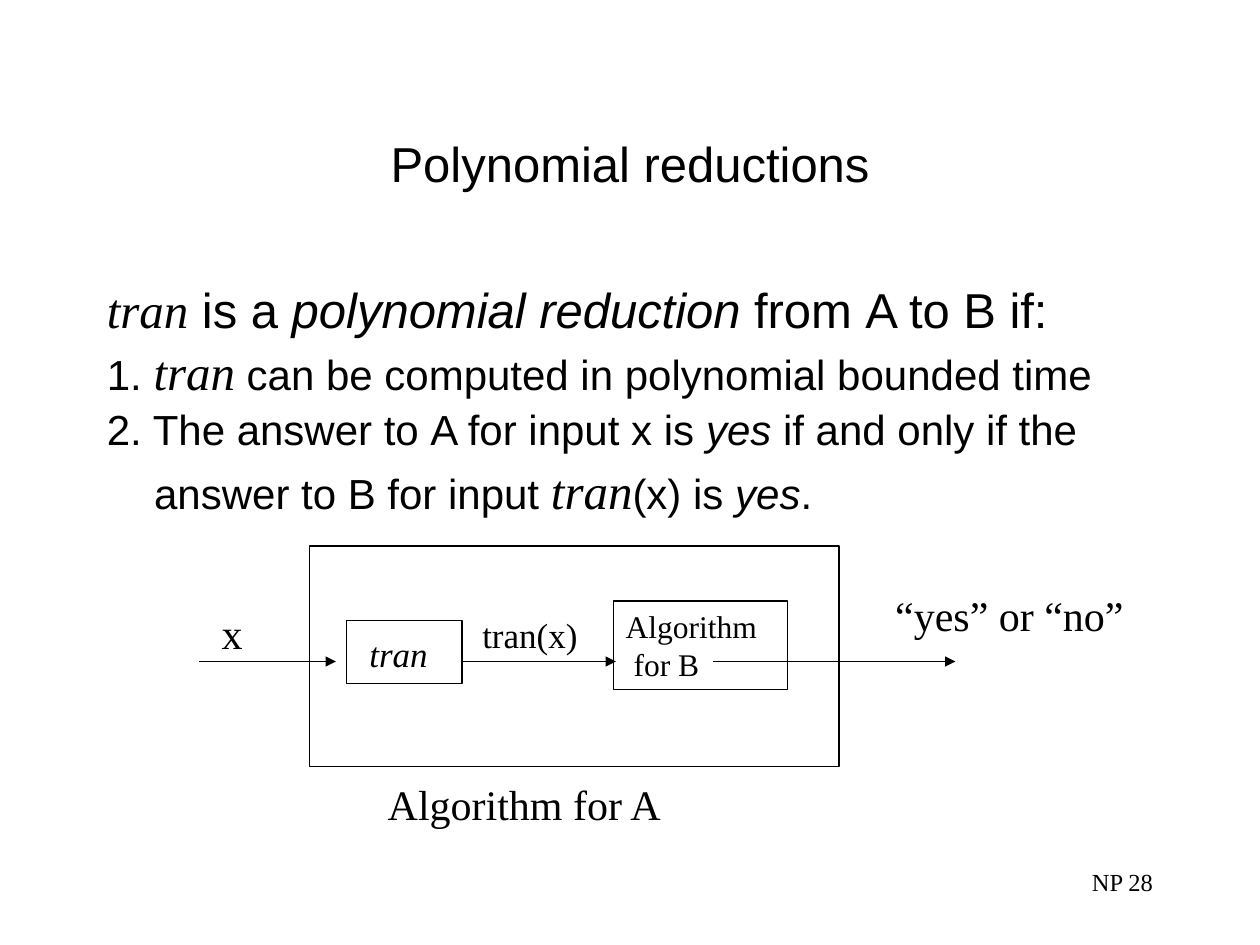
import pptx
import pptx.dml.color
import pptx.enum.shapes
import pptx.enum.text
import pptx.oxml.ns
import pptx.util
from lxml import etree

Pt = pptx.util.Pt
ALIGN = pptx.enum.text.PP_ALIGN
ANCHOR = pptx.enum.text.MSO_ANCHOR
BLACK = pptx.dml.color.RGBColor(0, 0, 0)
SANS, SERIF = "Arial", "Times New Roman"
LINE_WIDTH = 0.75


class Deck:
    def __init__(self, prs):
        self.prs = prs
        self.slide = prs.slides.add_slide(prs.slide_layouts[5])

    def run(self, p, text, size, font=SERIF, italic=False):
        r = p.add_run()
        r.text = text
        r.font.size = Pt(size)
        r.font.name = font
        r.font.italic = italic
        r.font.color.rgb = BLACK

    def frame(self, sp, anchor=ANCHOR.TOP, wrap=True):
        """Give the shape the common text margins and return its text frame."""
        tf = sp.text_frame
        tf.auto_size = pptx.enum.text.MSO_AUTO_SIZE.NONE
        tf.word_wrap = wrap
        tf.vertical_anchor = anchor
        tf.margin_left = tf.margin_right = Pt(7.2)
        tf.margin_top = tf.margin_bottom = Pt(3.6)
        return tf

    def title(self, x, y, w, h, text):
        sp = self.slide.shapes.title
        sp.left, sp.top, sp.width, sp.height = Pt(x), Pt(y), Pt(w), Pt(h)
        p = self.frame(sp, ANCHOR.MIDDLE).paragraphs[0]
        p.alignment = ALIGN.CENTER
        self.run(p, text, 28, SANS)

    def body(self, x, y, w, h, paragraphs, indent, gap):
        """Add hanging paragraphs, each a list of (text, size, font, italic)."""
        sp = self.slide.shapes.add_textbox(Pt(x), Pt(y), Pt(w), Pt(h))
        tf = self.frame(sp)
        for i, runs in enumerate(paragraphs):
            p = tf.add_paragraph() if i else tf.paragraphs[0]
            pPr = p._p.get_or_add_pPr()
            pPr.set("marL", str(Pt(indent)))
            pPr.set("indent", str(-Pt(indent)))
            if i:
                p.space_before = Pt(gap)
            for run in runs:
                self.run(p, *run)

    def label(self, x, y, w, h, text, size=24, align=ALIGN.LEFT):
        sp = self.slide.shapes.add_textbox(Pt(x), Pt(y), Pt(w), Pt(h))
        p = self.frame(sp, wrap=False).paragraphs[0]
        p.alignment = align
        self.run(p, text, size)

    def box(self, x, y, w, h, lines=(), size=18, italic=False, top=3.6):
        """Add an outlined box; lines holds (text, left indent) pairs."""
        sp = self.slide.shapes.add_shape(
            pptx.enum.shapes.MSO_SHAPE.RECTANGLE, Pt(x), Pt(y), Pt(w), Pt(h))
        sp.shadow.inherit = False
        sp.fill.background()
        sp.line.color.rgb = BLACK
        sp.line.width = Pt(LINE_WIDTH)
        tf = self.frame(sp)
        tf.margin_top = Pt(top)
        for i, (text, indent) in enumerate(lines):
            p = tf.add_paragraph() if i else tf.paragraphs[0]
            p.alignment = ALIGN.LEFT
            p._p.get_or_add_pPr().set("marL", str(Pt(indent)))
            self.run(p, text, size, italic=italic)

    def arrow(self, x1, x2, y):
        c = self.slide.shapes.add_connector(
            pptx.enum.shapes.MSO_CONNECTOR.STRAIGHT, Pt(x1), Pt(y), Pt(x2), Pt(y))
        c.line.color.rgb = BLACK
        c.line.width = Pt(LINE_WIDTH)
        qn = pptx.oxml.ns.qn
        etree.SubElement(c.line._get_or_add_ln(), qn("a:tailEnd"), type="triangle")
        etree.SubElement(c._element.spPr, qn("a:effectLst"))


def main():
    prs = pptx.Presentation()
    prs.slide_width, prs.slide_height = Pt(720), Pt(540)
    deck = Deck(prs)

    deck.title(54, 48, 612, 90, "Polynomial reductions")
    tran = ("tran", 28, SERIF, True)
    yes = ("yes", 24, SANS, True)
    deck.body(54, 156, 612, 324, [
        [tran, (" is a ", 28, SANS), ("polynomial reduction", 28, SANS, True),
         (" from Α to Β if:", 28, SANS)],
        [("1. ", 24, SANS), tran,
         (" can be computed in polynomial bounded time", 24, SANS)],
        [("2. The answer to Α for input x is ", 24, SANS), yes,
         (" if and only if the answer to Β for input ", 24, SANS), tran,
         ("(x) is ", 24, SANS), yes, (".", 24, SANS), (" ", 32, SANS)],
    ], indent=27, gap=1.8)

    deck.box(198, 354.5, 66, 36, [("tran", 6)], size=20, italic=True, top=7.2)
    deck.box(350.5, 343.5, 99.5, 50.5, [("Algorithm", 0), ("for B", 4.5)])
    deck.box(177, 312, 302.5, 126)

    flow_y = 378
    for x1, x2 in [(114, 192), (264, 352), (407.5, 546)]:
        deck.arrow(x1, x2, flow_y)

    deck.label(119.5, 343.5, 26, 36, "x")
    deck.label(268.5, 347, 68.5, 31.5, "tran(x)", 20)
    deck.label(504.5, 333.5, 155, 36, "“yes” or “no”")
    deck.label(214.5, 441.5, 171.5, 36, "Algorithm for A")
    deck.label(516, 492, 150, 36, "NP 28", 14, ALIGN.RIGHT)

    prs.save("out.pptx")


if __name__ == "__main__":
    main()
